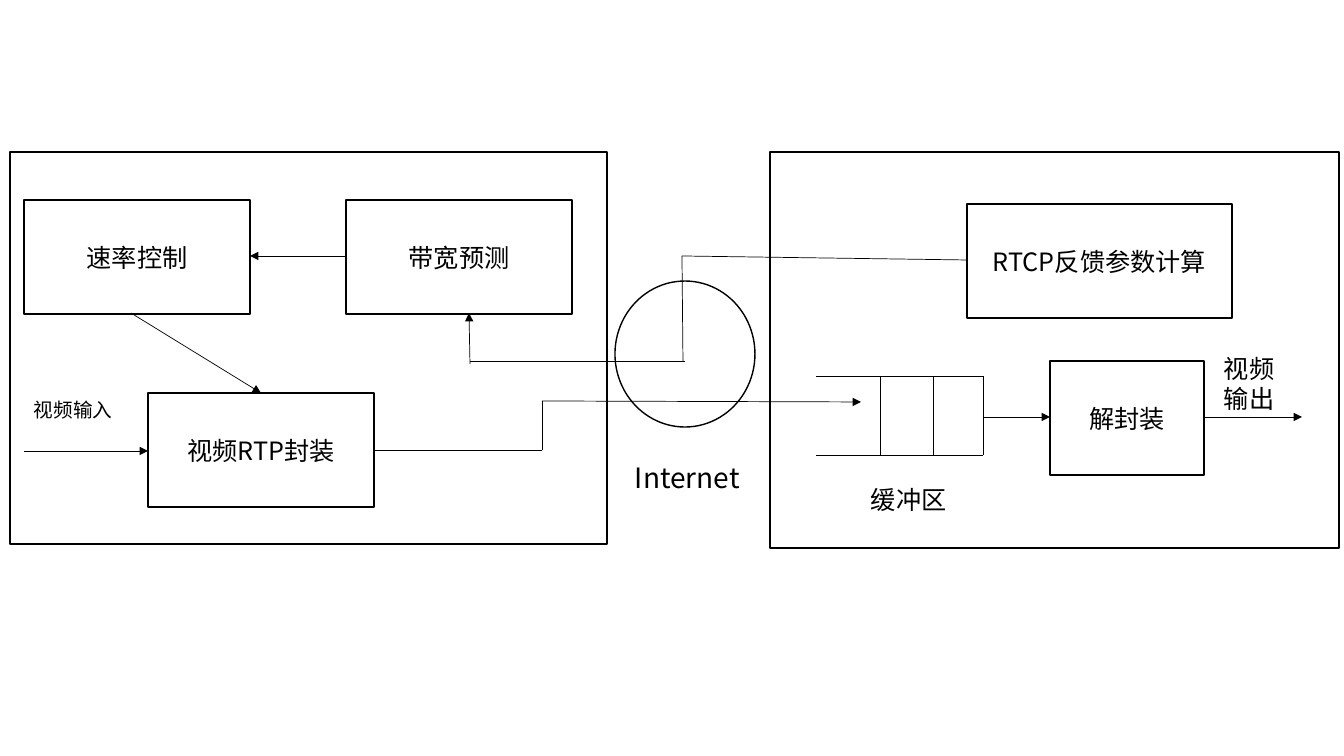
import pptx
import pptx.dml.color
import pptx.enum.shapes
import pptx.enum.text
import pptx.oxml
import pptx.oxml.ns
import pptx.util

EMU_PER_PIXEL = 914400 / 100.8
FONT = "Noto Sans CJK SC"
BLACK, WHITE = "000000", "FFFFFF"
SHAPE = pptx.enum.shapes.MSO_SHAPE
ALIGN = pptx.enum.text.PP_ALIGN
ANCHOR = pptx.enum.text.MSO_ANCHOR


def px(*lengths):
    return [pptx.util.Emu(round(length * EMU_PER_PIXEL)) for length in lengths]


def colour(hex_string):
    return pptx.dml.color.RGBColor.from_string(hex_string)


def set_all(target, values):
    for key, value in values.items():
        setattr(target, key, value)


def add_xml(parent, tag, **attributes):
    child = pptx.oxml.parse_xml(f"<a:{tag} {pptx.oxml.ns.nsdecls('a')}/>")
    for key, value in attributes.items():
        child.set(key, value)
    parent.append(child)


def write(frame, wording, size, align, anchor):
    set_all(frame, {"word_wrap": True, "vertical_anchor": anchor})
    paragraph = frame.paragraphs[0]
    paragraph.alignment = align
    run = paragraph.add_run()
    run.text = wording
    set_all(run.font, {"name": FONT, "size": pptx.util.Pt(size)})
    run.font.color.rgb = colour(BLACK)
    add_xml(run.font._element, "ea", typeface=FONT)


def add_block(slide, box, wording="", kind=SHAPE.RECTANGLE):
    block = slide.shapes.add_shape(kind, *px(*box))
    block.shadow.inherit = False
    block.fill.solid()
    block.fill.fore_color.rgb = colour(WHITE)
    block.line.color.rgb = colour(BLACK)
    block.line.width = pptx.util.Pt(1)
    if wording:
        write(block.text_frame, wording, 18, ALIGN.CENTER, ANCHOR.MIDDLE)


def add_label(slide, box, wording, size=18):
    label = slide.shapes.add_textbox(*px(*box))
    write(label.text_frame, wording, size, ALIGN.LEFT, ANCHOR.TOP)


def add_line(slide, ends, arrow=False):
    line = slide.shapes.add_connector(
        pptx.enum.shapes.MSO_CONNECTOR.STRAIGHT, *px(*ends))
    line.line.color.rgb = colour(BLACK)
    line.line.width = pptx.util.Pt(0.5)
    if arrow:
        add_xml(line.line._get_or_add_ln(), "tailEnd", type="triangle")
    add_xml(line._element.spPr, "effectLst")


def add_sender(slide):
    add_block(slide, (10, 152, 597, 392))
    for left, top, wording in [(24, 200, "速率控制"), (346, 200, "带宽预测"),
                               (148, 393, "视频RTP封装")]:
        add_block(slide, (left, top, 226, 114), wording)
    for ends in [(346, 256, 250, 256), (131, 313, 261, 393),
                 (24, 451, 148, 451)]:
        add_line(slide, ends, arrow=True)
    add_label(slide, (24, 393, 107, 34), "视频输入", 14)


def add_buffer(slide, left, right, top, bottom, dividers):
    for y in (top, bottom):
        add_line(slide, (left, y, right, y))
    for x in (*dividers, right):
        add_line(slide, (x, top, x, bottom))
    add_label(slide, (861, 479, 178, 40), "缓冲区")


def add_receiver(slide):
    add_block(slide, (770, 152, 569, 396))
    add_block(slide, (967, 204, 265, 114), "RTCP反馈参数计算")
    add_block(slide, (1050, 361, 154, 114), "解封装")
    add_buffer(slide, 816, 983, 376, 455, (880, 933))
    for start, end in [(983, 1050), (1204, 1302)]:
        add_line(slide, (start, 417, end, 417), arrow=True)
    add_label(slide, (1214, 348, 80, 72), "视频输出")


def add_network(slide):
    add_block(slide, (615, 281, 140, 146), kind=SHAPE.OVAL)
    add_label(slide, (625, 456, 134, 44), "Internet", 20)
    # Feedback route from RTCP to bandwidth prediction
    for ends in [(967, 260, 682, 256), (682, 256, 683, 361),
                 (685, 361, 470, 361)]:
        add_line(slide, ends)
    add_line(slide, (470, 364, 469, 313), arrow=True)
    # Video route from RTP packing to the buffer
    for ends in [(375, 450, 542, 450), (542, 450, 542, 401)]:
        add_line(slide, ends)
    add_line(slide, (542, 401, 861, 402), arrow=True)


def main():
    deck = pptx.Presentation()
    width, height = px(1344, 756)
    set_all(deck, {"slide_width": width, "slide_height": height})
    slide = deck.slides.add_slide(deck.slide_layouts[6])
    add_sender(slide)
    add_receiver(slide)
    add_network(slide)
    deck.save("out.pptx")


main()
